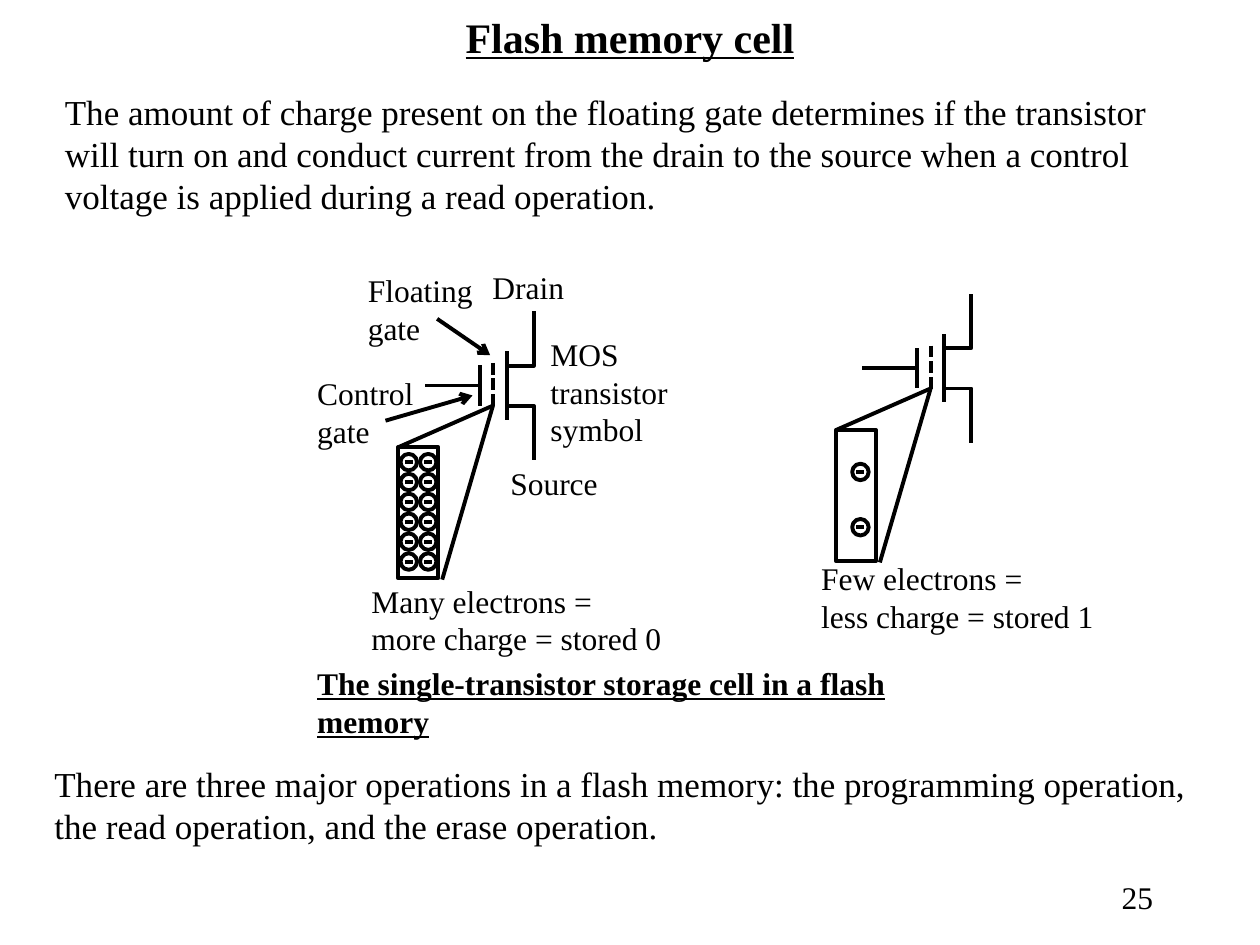
from itertools import product

from lxml.etree import SubElement
from pptx import Presentation
from pptx.dml.color import RGBColor
from pptx.enum.dml import MSO_LINE
from pptx.enum.shapes import MSO_CONNECTOR, MSO_SHAPE
from pptx.enum.text import MSO_ANCHOR, PP_ALIGN
from pptx.oxml.ns import qn
from pptx.util import Pt

BLACK = "000000"
FONT = "Times New Roman"
STROKE = 2.25
ELECTRON = 9.4


def color(hex_code):
    return RGBColor.from_string(hex_code)


def place(shape, left, top, width, height):
    shape.left, shape.top = Pt(left), Pt(top)
    shape.width, shape.height = Pt(width), Pt(height)


def write(frame, lines, size, bold=False, align=PP_ALIGN.LEFT):
    frame.text = "\n".join(lines)
    for paragraph in frame.paragraphs:
        paragraph.alignment = align
        font = paragraph.font
        font.name, font.size = FONT, Pt(size)
        font.bold = font.underline = bold
        font.color.rgb = color(BLACK)


def add_text(slide, box, *lines, size=18, bold=False, align=PP_ALIGN.LEFT, wrap=True):
    frame = slide.shapes.add_textbox(*map(Pt, box)).text_frame
    frame.word_wrap = wrap
    write(frame, lines, size, bold, align)


def stroke(line):
    line.color.rgb = color(BLACK)
    line.width = Pt(STROKE)


def add_line(slide, x1, y1, x2, y2, dotted=False, arrow=False):
    connector = slide.shapes.add_connector(
        MSO_CONNECTOR.STRAIGHT, Pt(x1), Pt(y1), Pt(x2), Pt(y2))
    stroke(connector.line)
    if dotted:
        connector.line.dash_style = MSO_LINE.SQUARE_DOT
    properties = connector._element.spPr
    if arrow:
        SubElement(properties.find(qn("a:ln")), qn("a:tailEnd"), type="arrow")
    SubElement(properties, qn("a:effectLst"))


def add_outline(slide, kind, left, top, width, height):
    shape = slide.shapes.add_shape(kind, Pt(left), Pt(top), Pt(width), Pt(height))
    shape.shadow.inherit = False
    shape.fill.background()
    stroke(shape.line)


def add_terminal(slide, points):
    builder = slide.shapes.build_freeform(*points[0], scale=Pt(1))
    builder.add_line_segments(points[1:], close=False)
    terminal = builder.convert_to_shape()
    terminal.shadow.inherit = False
    terminal.fill.background()
    stroke(terminal.line)


def add_electron(slide, left, top):
    add_outline(slide, MSO_SHAPE.OVAL, left, top, ELECTRON, ELECTRON)
    middle = top + ELECTRON / 2
    add_line(slide, left + 2.4, middle, left + 7, middle)


def add_cell(slide, left, top, electrons):
    control, floating, channel, outlet = (left + x for x in (46.6, 54.2, 62, 77.6))
    drain, source = top + 31, top + 54

    add_line(slide, control, drain, control, source)
    add_line(slide, channel, top + 23, channel, top + 62)
    add_line(slide, floating, top + 29.5, floating, top + 56, dotted=True)
    add_line(slide, control, top + 42.5, left + 15.2, top + 42.5)
    for start, end in ((drain, top), (source, top + 85)):
        add_terminal(slide, [(channel, start), (outlet, start), (outlet, end)])

    add_line(slide, floating, source, left, top + 77.8)
    add_line(slide, floating, source, left + 25.2, top + 153.4)
    add_outline(slide, MSO_SHAPE.RECTANGLE, left, top + 77.8, 23, 74.8)
    for x, y in electrons:
        add_electron(slide, left + x, top + y)


def add_charged_cell(slide, left, top):
    grid = [(1.4 + 11.1 * column, 81.6 + 11.36 * row)
            for column, row in product(range(2), range(6))]
    add_cell(slide, left, top, grid)
    labels = [
        ((80, 10, 89, 72), ("MOS", "transistor", "symbol")),
        ((57, 83.6, 71, 29), ("Source",)),
        ((46.8, -28, 70, 29), ("Drain",)),
        ((-24.4, -26.6, 80, 50), ("Floating", "gate")),
        ((-53.3, 32.4, 79, 50), ("Control", "gate")),
    ]
    for (x, y, width, height), lines in labels:
        add_text(slide, (left + x, top + y, width, height), *lines)
    add_line(slide, left + 22.3, top + 4.4, left + 52.6, top + 25.2, arrow=True)
    add_line(slide, left - 7.2, top + 62.6, left + 42.5, top + 48.2, arrow=True)
    add_text(slide, (left - 22.3, top + 151, 180, 50),
             "Many electrons =", "more charge = stored 0", wrap=False)


def add_discharged_cell(slide, left, top):
    add_cell(slide, left, top, [(9.4, 97), (9.4, 128.6)])
    add_text(slide, (left - 15.5, top + 148, 171, 50),
             "Few electrons =", "less charge = stored 1", wrap=False)


def add_title(slide):
    title = slide.shapes.title
    place(title, 54, 3, 612, 36)
    title.text_frame.vertical_anchor = MSO_ANCHOR.MIDDLE
    write(title.text_frame, ["Flash memory cell"], 24, True, PP_ALIGN.CENTER)


def main():
    deck = Presentation()
    deck.slide_width, deck.slide_height = Pt(720), Pt(540)
    slide = deck.slides.add_slide(deck.slide_layouts[5])

    add_title(slide)
    add_text(slide, (30, 48.4, 666, 79),
             "The amount of charge present on the floating gate determines if the "
             "transistor will turn on and conduct current from the drain to the source "
             "when a control voltage is applied during a read operation.", size=20)
    add_charged_cell(slide, 227.5, 177.8)
    add_discharged_cell(slide, 477.6, 168)
    add_text(slide, (174.2, 376, 366.5, 50),
             "The single-transistor storage cell in a flash memory", bold=True)
    add_text(slide, (24, 432, 667.5, 55.5),
             "There are three major operations in a flash memory: the programming "
             "operation, the read operation, and the erase operation.", size=20)
    add_text(slide, (516, 498, 150, 36), "25", align=PP_ALIGN.RIGHT)
    deck.save("out.pptx")


if __name__ == "__main__":
    main()
